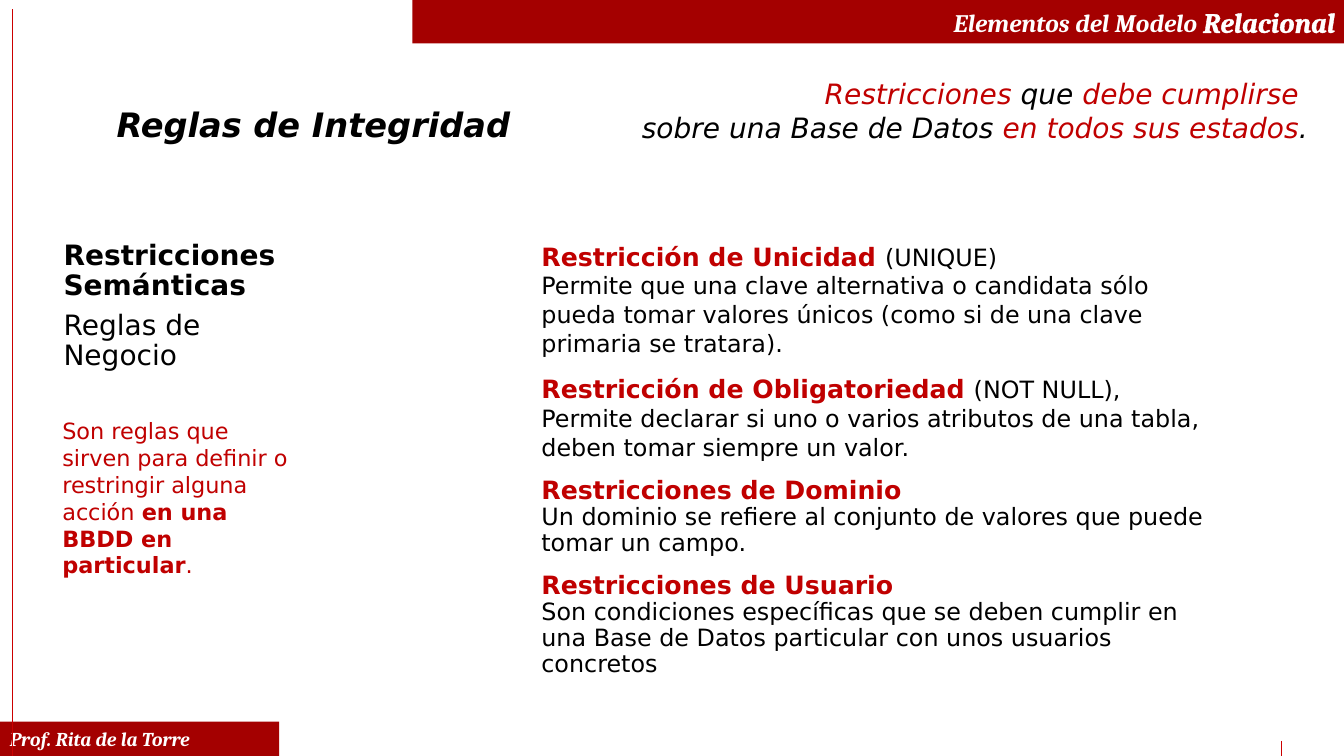
from dataclasses import dataclass

from lxml import etree
from pptx import Presentation
from pptx.dml.color import RGBColor
from pptx.enum import shapes, text
from pptx.oxml import ns
from pptx.util import Inches, Pt


@dataclass(frozen=True)
class Theme:
    heading_font: str = "Cambria"
    body_font: str = "DejaVu Sans"
    bar: str = "A40000"
    rule: str = "CC0000"
    accent: str = "C00000"
    ink: str = "000000"
    white: str = "FFFFFF"
    footer: int = 14
    note: int = 16
    detail: int = 17
    term: int = 18
    lead: int = 20
    topic: int = 24


theme = Theme()
presentation = Presentation()
presentation.slide_width, presentation.slide_height = Inches(13.33), Inches(7.5)
slide = presentation.slides.add_slide(presentation.slide_layouts[6])


def write_paragraph(frame, pieces, font=theme.body_font, italic=False,
                    align=text.PP_ALIGN.LEFT, after=0, spacing=1.0):
    """Append a paragraph of (words, size, colour, bold) pieces; a newline breaks the line."""
    paragraph = frame.paragraphs[0]
    if paragraph.runs:
        paragraph = frame.add_paragraph()
    paragraph.alignment = align
    paragraph.space_after = Pt(after)
    paragraph.line_spacing = spacing
    for words, size, colour, bold in pieces:
        for index, line in enumerate(words.split("\n")):
            if index:
                paragraph.add_line_break()
            if not line:
                continue
            run = paragraph.add_run()
            run.text = line
            run.font.name, run.font.size = font, Pt(size)
            run.font.bold, run.font.italic = bold, italic
            run.font.color.rgb = RGBColor.from_string(colour)
    return paragraph


def add_frame(left, top, width, height, inset=None, wrap=True):
    frame = slide.shapes.add_textbox(
        Inches(left), Inches(top), Inches(width), Inches(height)).text_frame
    frame.word_wrap = wrap
    if inset is not None:
        frame.margin_left = frame.margin_right = Inches(inset)
        frame.margin_top = frame.margin_bottom = Inches(inset)
    return frame


# Footer and title bars
bars = [
    ((0, 7.16, 2.77, 0.34), text.PP_ALIGN.LEFT,
     [("Prof. Rita de la Torre", theme.footer, theme.white, True)]),
    ((4.09, 0, 9.25, 0.43), text.PP_ALIGN.RIGHT,
     [("Elementos del Modelo ", theme.term, theme.white, True),
      ("Relacional", theme.lead, theme.white, True)]),
]
for box, align, pieces in bars:
    bar = slide.shapes.add_shape(shapes.MSO_SHAPE.RECTANGLE, *map(Inches, box))
    bar.shadow.inherit = False
    bar.fill.solid()
    bar.fill.fore_color.rgb = RGBColor.from_string(theme.bar)
    bar.line.fill.background()
    bar.text_frame.word_wrap = True
    bar.text_frame.vertical_anchor = text.MSO_ANCHOR.MIDDLE
    heading = write_paragraph(bar.text_frame, pieces, theme.heading_font, True, align)

# Thin outline on the last word of the title
outline = etree.Element(ns.qn("a:ln"), w=str(Pt(0.25)))
outline_fill = etree.SubElement(outline, ns.qn("a:solidFill"))
etree.SubElement(outline_fill, ns.qn("a:srgbClr"), val=theme.white)
heading.runs[-1].font._element.insert(0, outline)

# Vertical rules at the margins
for x, top, weight in [(12.71, 7.35, 0.75), (0.12, 0.09, 0.5)]:
    rule = slide.shapes.add_connector(
        shapes.MSO_CONNECTOR.STRAIGHT, Inches(x), Inches(top), Inches(x), Inches(7.5))
    rule.line.color.rgb = RGBColor.from_string(theme.rule)
    rule.line.width = Pt(weight)
    etree.SubElement(rule._element.spPr, ns.qn("a:effectLst"))

# Kinds of restriction
restrictions = [
    ("Restricción de Unicidad ",
     "(UNIQUE)\nPermite que una clave alternativa o candidata sólo pueda tomar "
     "valores únicos (como si de una clave primaria se tratara).", 1.0),
    ("Restricción de Obligatoriedad ",
     "(NOT NULL), \nPermite declarar si uno o varios atributos de una tabla, "
     "deben tomar siempre un valor.", 1.0),
    ("Restricciones de Dominio\n",
     "Un dominio se refiere al conjunto de valores que puede tomar un campo.", 0.9),
    ("Restricciones de Usuario\n",
     "Son condiciones específicas que se deben cumplir en una Base de Datos "
     "particular con unos usuarios concretos", 0.9),
]
restriction_list = add_frame(5.29, 2.31, 6.84, 4.4, inset=0.08)
for term, detail, spacing in restrictions:
    write_paragraph(restriction_list,
                    [(term, theme.term, theme.accent, True),
                     (detail, theme.detail, theme.ink, False)],
                    after=12, spacing=spacing)

# Left column
category = add_frame(0.55, 2.31, 2.41, 1.78, inset=0.08)
for words, bold in [("Restricciones\nSemánticas", True), ("Reglas de Negocio", False)]:
    write_paragraph(category, [(words, theme.lead, theme.ink, bold)], after=7, spacing=0.9)

write_paragraph(add_frame(0.52, 4.09, 2.46, 1.72), [
    ("Son reglas que sirven para definir o restringir alguna acción ",
     theme.note, theme.accent, False),
    ("en una BBDD en particular", theme.note, theme.accent, True),
    (".", theme.note, theme.accent, False),
])

# Topic and its definition
definition = [
    ("Restricciones", theme.accent), (" que ", theme.ink),
    ("debe cumplirse \n", theme.accent), ("sobre una Base de Datos ", theme.ink),
    ("en todos sus estados", theme.accent), (".", theme.ink),
]
write_paragraph(add_frame(3.36, 0.71, 9.71, 0.77),
                [(words, theme.lead, colour, False) for words, colour in definition],
                italic=True, align=text.PP_ALIGN.RIGHT, after=12)
write_paragraph(add_frame(0.99, 0.98, 4.17, 0.5, wrap=False),
                [("Reglas de Integridad", theme.topic, theme.ink, True)],
                italic=True, align=text.PP_ALIGN.RIGHT, after=12)

presentation.save("out.pptx")
